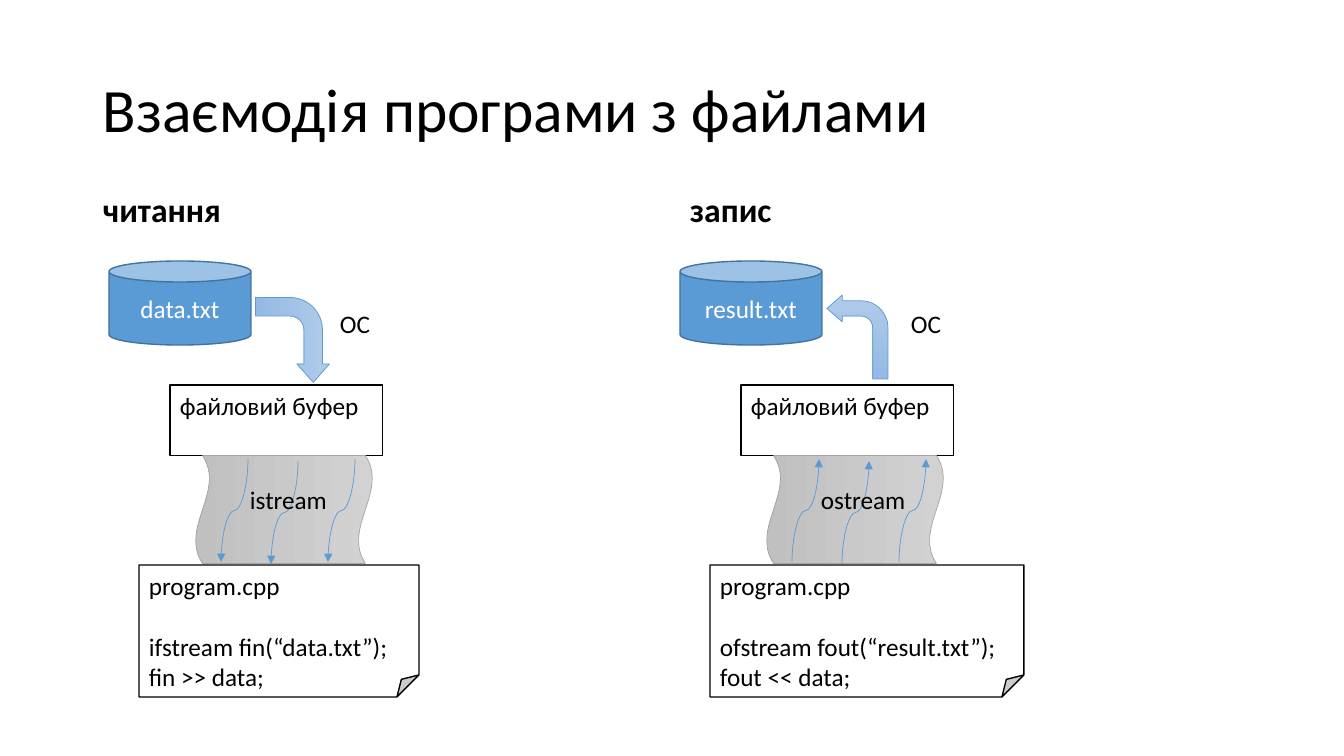
"""Builds a slide on how a program reads and writes files through streams."""
from dataclasses import dataclass

from lxml import etree
from pptx import Presentation
from pptx.dml.color import RGBColor
from pptx.enum.shapes import MSO_CONNECTOR as Connector, MSO_SHAPE as Preset
from pptx.enum.text import MSO_ANCHOR as Anchor, PP_ALIGN as Align
from pptx.oxml.ns import qn
from pptx.shapes.autoshape import Shape
from pptx.shapes.shapetree import GroupShapes
from pptx.util import Pt

SCALE = 914400 / 100.8
FONT = "Calibri"
BLACK = RGBColor(0x00, 0x00, 0x00)
WHITE = RGBColor(0xFF, 0xFF, 0xFF)
BLUE = RGBColor(0x5B, 0x9B, 0xD5)
DARK_BLUE = RGBColor(0x43, 0x73, 0x9E)
GRAY = RGBColor(0xA5, 0xA5, 0xA5)
ARROW_GRADIENT = (RGBColor(0xB1, 0xCB, 0xE9), RGBColor(0x93, 0xB9, 0xE4))
STREAM_GRADIENT = (RGBColor(0xD2, 0xD2, 0xD2), RGBColor(0xC0, 0xC0, 0xC0))

Gradient = tuple[RGBColor, RGBColor]


@dataclass(frozen=True)
class Box:
    left: int
    top: int
    width: int
    height: int

    def shifted(self, shift: int) -> "Box":
        return Box(self.left + shift, self.top, self.width, self.height)

    def emu(self) -> tuple[int, int, int, int]:
        return px(self.left), px(self.top), px(self.width), px(self.height)


@dataclass(frozen=True)
class Flow:
    heading: str
    heading_box: Box
    shift: int
    file_name: str
    stream: str
    stream_width: int
    code: tuple[str, ...]
    program_width: int
    bent_arrow: Box
    is_reading: bool


FLOWS = (
    Flow("читання", Box(93, 185, 569, 50), 0, "data.txt", "istream", 98,
         ("ifstream fin(“data.txt”);", "fin >> data;"), 280, Box(250, 303, 85, 74), True),
    Flow("запис", Box(680, 185, 572, 50), 571, "result.txt", "ostream", 106,
         ("ofstream fout(“result.txt”);", "fout << data;"), 314, Box(256, 295, 61, 84), False),
)
STREAM_ARROWS = (Box(290, 497, 103, 27), Box(183, 497, 103, 27), Box(233, 499, 103, 27))


def px(length: int) -> int:
    return round(length * SCALE)


def write(shape: Shape, lines: tuple[str, ...], size: int = 18, color: RGBColor = BLACK,
          bold: bool = False, align: Align = Align.LEFT, anchor: Anchor = Anchor.TOP,
          wrap: bool = True, spacing: float = 1.0) -> None:
    frame = shape.text_frame
    frame.text = "\n".join(lines)
    frame.word_wrap = wrap
    frame.vertical_anchor = anchor
    for paragraph in frame.paragraphs:
        paragraph.alignment = align
        paragraph.line_spacing = spacing
        paragraph.font.name = FONT
        paragraph.font.size = Pt(size)
        paragraph.font.bold = bold
        paragraph.font.color.rgb = color


def add_preset(shapes: GroupShapes, preset: Preset, box: Box, line: RGBColor, weight: float,
               fill: RGBColor | Gradient | None = None) -> Shape:
    shape = shapes.add_shape(preset, *box.emu())
    shape.shadow.inherit = False
    shape.line.color.rgb = line
    shape.line.width = Pt(weight)
    if fill is None:
        shape.fill.background()
    elif isinstance(fill, RGBColor):
        shape.fill.solid()
        shape.fill.fore_color.rgb = fill
    else:
        shape.fill.gradient()
        shape.fill.gradient_angle = 270
        for stop, color in zip(shape.fill.gradient_stops, fill):
            stop.color.rgb = color
    return shape


def add_label(shapes: GroupShapes, box: Box, text: str) -> None:
    write(shapes.add_textbox(*box.emu()), (text,), wrap=False)


def add_stream_arrow(shapes: GroupShapes, box: Box, arrow_end: str) -> None:
    left, top, width, height = box.emu()
    arrow = shapes.add_connector(Connector.CURVE, left, top, left + width, top + height)
    arrow.line.color.rgb = BLUE
    arrow.line.width = Pt(0.5)
    properties = arrow.element.spPr
    properties.find(qn("a:xfrm")).set("rot", "5400000")
    etree.SubElement(properties.find(qn("a:ln")), qn(arrow_end)).set("type", "triangle")
    etree.SubElement(properties, qn("a:effectLst"))


def add_flow(shapes: GroupShapes, flow: Flow) -> None:
    def place(left: int, top: int, width: int, height: int) -> Box:
        return Box(left, top, width, height).shifted(flow.shift)

    file = add_preset(shapes, Preset.CAN, place(109, 261, 142, 84), DARK_BLUE, 1, BLUE)
    write(file, (flow.file_name,), color=WHITE, align=Align.CENTER, anchor=Anchor.MIDDLE)

    buffer = add_preset(shapes, Preset.RECTANGLE, place(170, 385, 213, 71), BLACK, 0.75)
    write(buffer, ("файловий буфер",))

    bent_arrow = add_preset(shapes, Preset.BENT_ARROW, flow.bent_arrow.shifted(flow.shift),
                            BLUE, 0.5, ARROW_GRADIENT)
    for index, value in enumerate((0.25, 0.22, 0.25, 0.44)):
        bent_arrow.adjustments[index] = value
    if flow.is_reading:
        bent_arrow.rotation = 90
    else:
        bent_arrow.element.spPr.find(qn("a:xfrm")).set("flipH", "1")
    add_label(shapes, place(330, 303, 50, 40), "ОС")

    program = add_preset(shapes, Preset.FOLDED_CORNER, place(139, 565, flow.program_width, 132),
                         BLACK, 1, WHITE)
    write(program, ("program.cpp", *flow.code))
    program.text_frame.paragraphs[1].space_before = Pt(22)

    stream = add_preset(shapes, Preset.WAVE, place(230, 421, 108, 177), GRAY, 0.5,
                        STREAM_GRADIENT)
    stream.adjustments[0] = 0.04
    stream.adjustments[1] = 0
    stream.rotation = 90
    for box in STREAM_ARROWS:
        add_stream_arrow(shapes, box.shifted(flow.shift),
                         "a:tailEnd" if flow.is_reading else "a:headEnd")
    add_label(shapes, place(240, 479, flow.stream_width, 40), flow.stream)


def main() -> None:
    presentation = Presentation()
    presentation.slide_width = px(1344)
    presentation.slide_height = px(756)
    slide = presentation.slides.add_slide(presentation.slide_layouts[6])
    title = slide.shapes.add_textbox(*Box(93, 40, 1159, 146).emu())
    write(title, ("Взаємодія програми з файлами",), size=44, anchor=Anchor.MIDDLE, spacing=0.9)
    for flow in FLOWS:
        heading = slide.shapes.add_textbox(*flow.heading_box.emu())
        write(heading, (flow.heading,), size=24, bold=True, anchor=Anchor.BOTTOM, spacing=0.9)
        add_flow(slide.shapes.add_group_shape().shapes, flow)
    presentation.save("out.pptx")


main()
